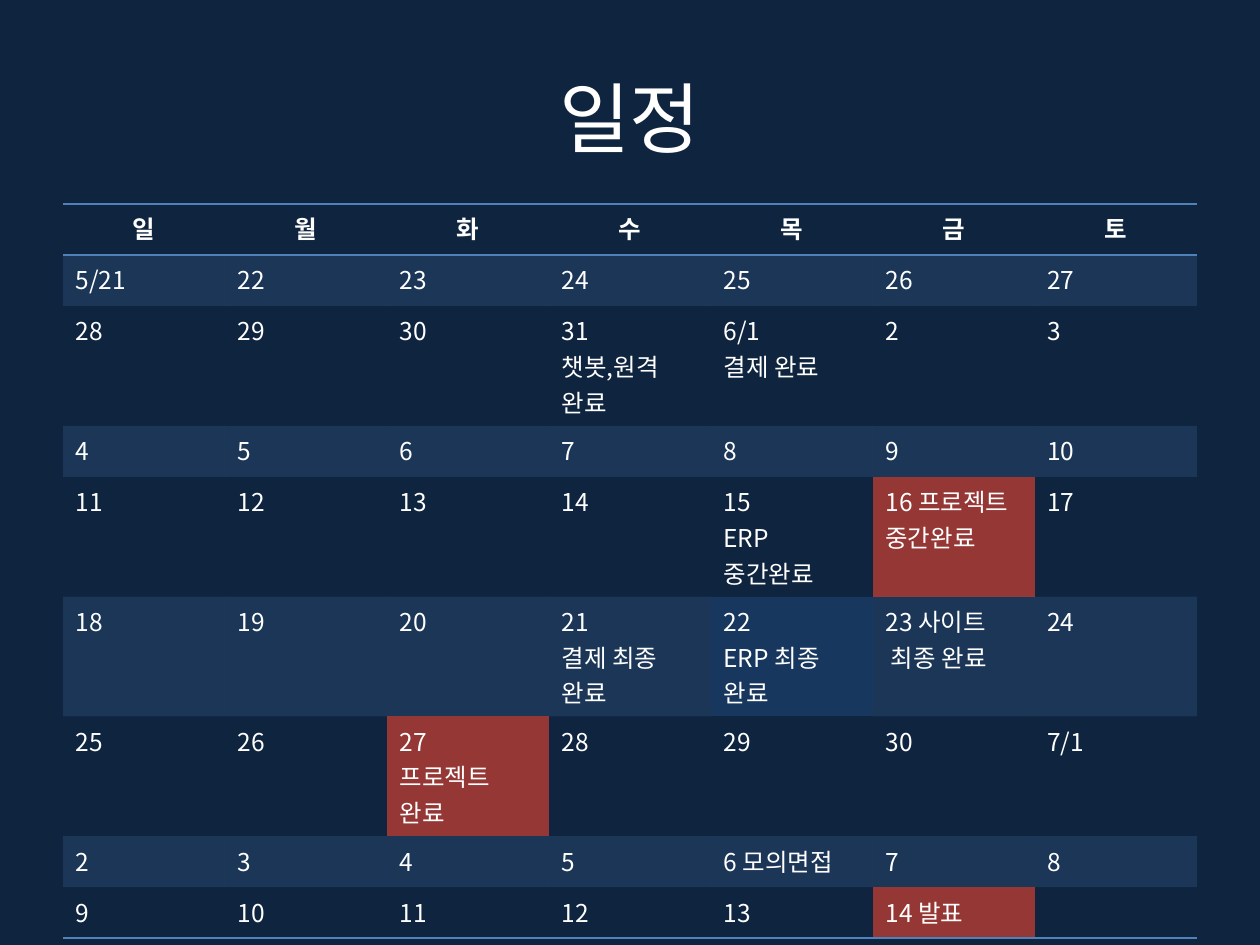
from typing import NamedTuple

from lxml import etree
from pptx import Presentation
from pptx.dml.color import RGBColor
from pptx.enum.shapes import MSO_SHAPE
from pptx.enum.text import MSO_ANCHOR, PP_ALIGN
from pptx.oxml.ns import qn
from pptx.util import Pt

CENTER, LEFT = PP_ALIGN.CENTER, PP_ALIGN.LEFT
MIDDLE = MSO_ANCHOR.MIDDLE
RECT = MSO_SHAPE.RECTANGLE

PX = 914400 // 126
FONT = "Noto Sans CJK KR"
NO_STYLE = "{2D5ABB26-0587-4C30-8999-92F81FD0307C}"
COLORS = {
    "navy": "0F243E",
    "text": "FFFFFF",
    "line": "4F81BD",
    "band": "4F81BD",
    "deadline": "953735",
    "erp": "17375E",
}
BAND_ALPHA = 20
COL_W, ROW_H = 162, 51


class Day(NamedTuple):
    text: str
    color: str = ""


def week(*days: str, **marks: str) -> list[Day]:
    """Make one row; a mark such as c5="erp" colours column 5."""
    return [Day(text, marks.get(f"c{i}", "")) for i, text in enumerate(days)]


CALENDAR = [
    week("일", "월", "화", "수", "목", "금", "토"),
    week("5/21", "22", "23", "24", "25", "26", "27"),
    week("28", "29", "30", "31\n챗봇,원격 완료", "6/1\n결제 완료", "2", "3"),
    week("4", "5", "6", "7", "8", "9", "10"),
    week("11", "12", "13", "14", "15\nERP 중간완료", "16 프로젝트\n중간완료", "17",
         c5="deadline"),
    week("18", "19", "20", "21\n결제 최종 완료", "22\nERP 최종 완료",
         "23 사이트\n 최종 완료", "24", c4="erp"),
    week("25", "26", "27\n프로젝트 완료", "28", "29", "30", "7/1", c2="deadline"),
    week("2", "3", "4", "5", "6 모의면접", "7", "8"),
    week("9", "10", "11", "12", "13", "14 발표", "", c5="deadline"),
]


def rgb(name: str) -> RGBColor:
    return RGBColor.from_string(COLORS[name])


def write(tf, text: str, size: int, align, bold: bool = False) -> None:
    tf.text = text
    for p in tf.paragraphs:
        p.alignment = align
        p.font.size = Pt(size)
        p.font.bold = bold
        p.font.color.rgb = rgb("text")
        p.font.name = FONT
        etree.SubElement(p.font._element, qn("a:ea"), typeface=FONT)


def add_border(cell, tag: str) -> None:
    ln = etree.SubElement(cell._tc.get_or_add_tcPr(), qn(tag), w=str(Pt(1)))
    fill = etree.SubElement(ln, qn("a:solidFill"))
    etree.SubElement(fill, qn("a:srgbClr"), val=COLORS["line"])


def fill_cell(cell, color: str, alpha: int = 100) -> None:
    cell.fill.solid()
    cell.fill.fore_color.rgb = rgb(color)
    if alpha < 100:
        clr = cell._tc.tcPr.find(".//" + qn("a:solidFill") + "/" + qn("a:srgbClr"))
        for node in cell._tc.tcPr.findall(qn("a:solidFill")):
            clr = node.find(qn("a:srgbClr"))
        etree.SubElement(clr, qn("a:alpha"), val=str(alpha * 1000))


def add_calendar(s, left: int, top: int) -> None:
    rows, cols = len(CALENDAR), len(CALENDAR[0])
    table = s.shapes.add_table(rows, cols, left * PX, top * PX,
                               cols * COL_W * PX, rows * ROW_H * PX).table
    table._tbl.tblPr.find(qn("a:tableStyleId")).text = NO_STYLE
    for r, days in enumerate(CALENDAR):
        header = r == 0
        for c, day in enumerate(days):
            cell = table.cell(r, c)
            write(cell.text_frame, day.text, 14, CENTER if header else LEFT, header)
            if header:
                add_border(cell, "a:lnT")
            if header or r == rows - 1:
                add_border(cell, "a:lnB")
            if day.color:
                fill_cell(cell, day.color)
            elif r % 2:
                fill_cell(cell, "band", BAND_ALPHA)
            else:
                cell.fill.background()


def add_backdrop(s, width: int, height: int) -> None:
    sp = s.shapes.add_shape(RECT, 0, 0, width, height)
    sp.shadow.inherit = False
    sp.fill.solid()
    sp.fill.fore_color.rgb = rgb("navy")
    sp.line.fill.background()
    s.shapes._spTree.insert(2, sp._element)


def add_title(s, text: str) -> None:
    title = s.shapes.title
    title.left, title.top, title.width, title.height = (
        n * PX for n in (63, 38, 1134, 157))
    title.text_frame.vertical_anchor = MIDDLE
    write(title.text_frame, text, 44, CENTER)


def main() -> None:
    prs = Presentation()
    prs.slide_width, prs.slide_height = 1260 * PX, 945 * PX
    s = prs.slides.add_slide(prs.slide_layouts[5])
    add_backdrop(s, prs.slide_width, prs.slide_height)
    add_title(s, "일정")
    add_calendar(s, 63, 204)
    prs.save("out.pptx")


if __name__ == "__main__":
    main()
